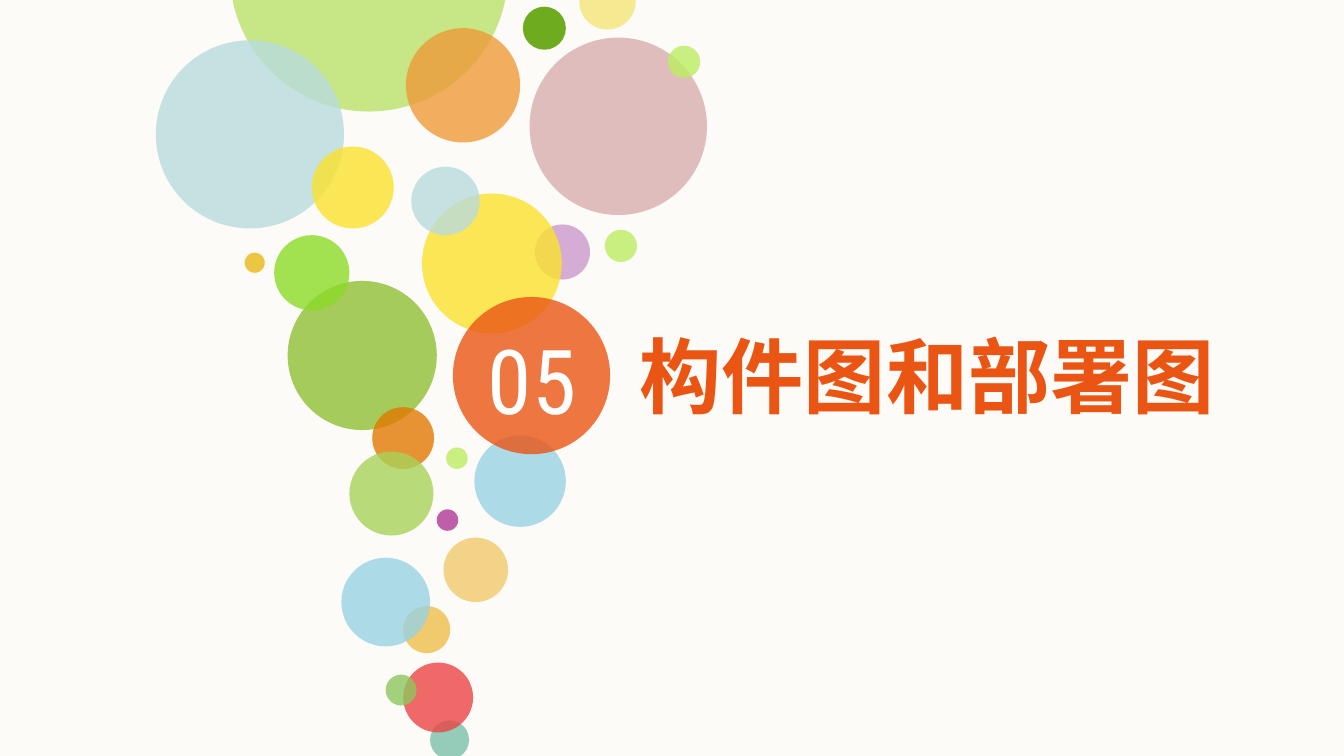
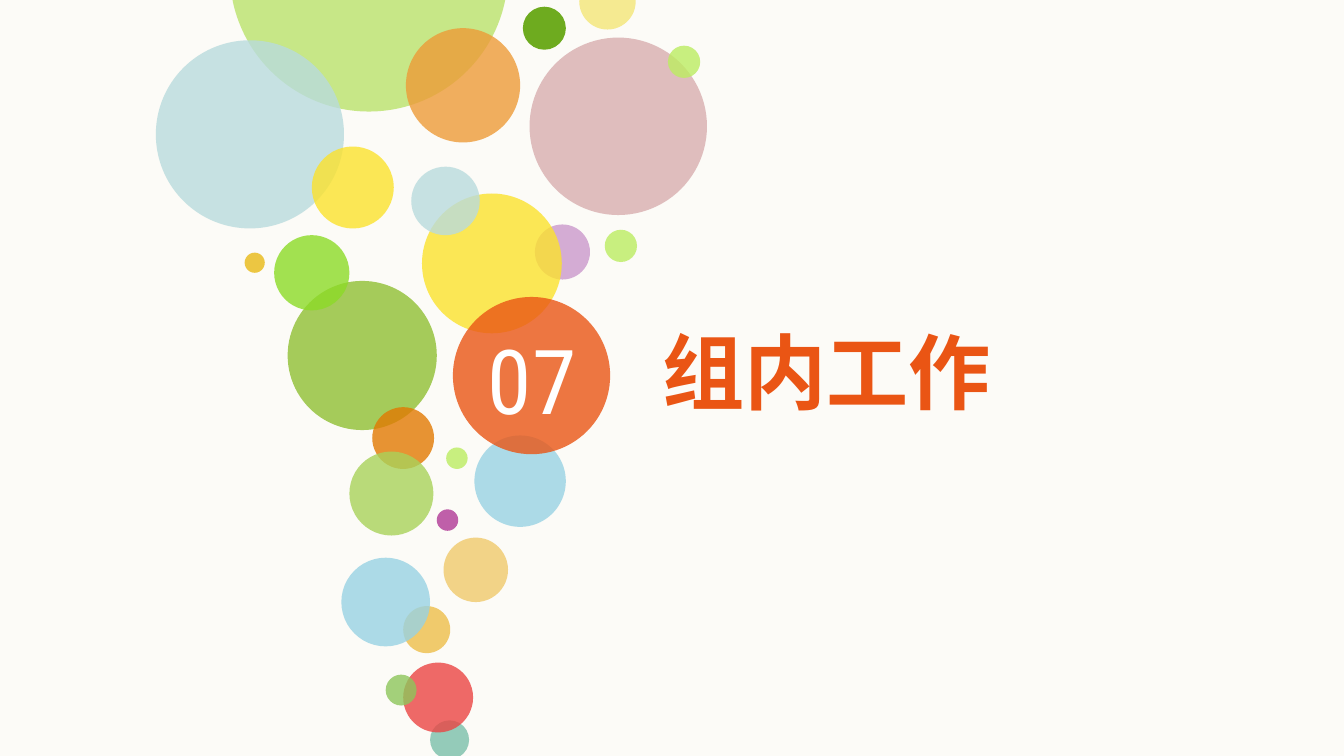
from dataclasses import dataclass

from lxml import etree
from pptx import Presentation
from pptx.dml.color import RGBColor
from pptx.enum.shapes import MSO_SHAPE
from pptx.enum.text import MSO_ANCHOR, MSO_AUTO_SIZE, PP_ALIGN
from pptx.oxml.ns import qn
from pptx.util import Inches, Pt

OVAL = MSO_SHAPE.OVAL
TOP = MSO_ANCHOR.TOP
NO_AUTOFIT = MSO_AUTO_SIZE.NONE
LEFT, CENTER = PP_ALIGN.LEFT, PP_ALIGN.CENTER

COLORS = {
    "paper": "FCFBF7", "white": "FFFFFF", "orange": "EA5514",
    "lime": "BAE36B", "forest": "6EAB1F", "mist": "B9DBDD",
    "apricot": "ED9B38", "cream": "F5EA91", "rose": "D8AEAF",
    "olive": "A5CB5A", "sprout": "BCED61", "lilac": "CB99CC",
    "yellow": "FBE22D", "green": "8CDB27", "gold": "E9B915",
    "purple": "B03896", "sand": "F0CA6C", "teal": "7BBFAA",
    "red": "EB4544", "leaf": "8DC65B", "sky": "98D2E3",
    "amber": "E27902", "moss": "A9D25A",
}
NUMBER_FONT = "Roboto Condensed"
TITLE_FONT = "Noto Sans CJK SC"
COLUMNS = 100
TITLE_ONLY = 5
VEIL = 80
SOLID = 100

# column, row, diameter, colour, opacity
BUBBLES = [
    (17.1, -12.4, 20.7, "lime", VEIL),
    (38.9, 0.5, 3.2, "forest", SOLID),
    (11.6, 3, 14, "mist", VEIL),
    (30.2, 2.1, 8.5, "apricot", VEIL),
    (43.1, -2, 4.2, "cream", SOLID),
    (39.4, 2.8, 13.2, "rose", VEIL),
    (21.4, 20.9, 11.1, "olive", SOLID),
    (49.7, 3.4, 2.4, "sprout", VEIL),
    (45, 17.1, 2.4, "sprout", VEIL),
    (39.8, 16.7, 4.1, "lilac", VEIL),
    (31.4, 14.4, 10.4, "yellow", VEIL),
    (23.2, 10.9, 6.1, "yellow", VEIL),
    (20.4, 17.5, 5.6, "green", VEIL),
    (18.2, 18.8, 1.5, "gold", VEIL),
    (33.2, 33.3, 1.6, "sprout", VEIL),
    (32.5, 37.9, 1.6, "purple", VEIL),
    (33, 40, 4.8, "sand", VEIL),
    (30, 45.1, 3.5, "sand", SOLID),
    (32, 53.6, 2.9, "teal", VEIL),
    (30, 49.3, 5.2, "red", VEIL),
    (28.7, 50.2, 2.3, "leaf", VEIL),
    (25.4, 41.5, 6.6, "sky", VEIL),
    (30.6, 12.4, 5.1, "mist", VEIL),
    (35.3, 32.4, 6.8, "sky", VEIL),
    (27.7, 30.3, 4.6, "amber", VEIL),
    (26, 33.6, 6.25, "moss", VEIL),
    (33.7, 22.1, 11.7, "orange", VEIL),
]
NUMBER_CELLS = (35.6, 24.2, 8, 8.1)
SECTIONS = [
    ("05", "构件图和部署图", (47.6, 24.2, 51.2, 7.4)),
    ("07", "组内工作", (49.3, 23.9, 44.8, 7.4)),
]


@dataclass
class Box:
    left: int
    top: int
    width: int

    def place(self, column, row, columns, rows):
        cell = self.width / COLUMNS
        return (round(self.left + column * cell), round(self.top + row * cell),
                round(columns * cell), round(rows * cell))


def rgb(name):
    return RGBColor.from_string(COLORS[name])


def write_text(holder, text, *, size, font, color, bold=False, align=LEFT):
    frame = holder.text_frame
    frame.word_wrap = True
    frame.auto_size = NO_AUTOFIT
    frame.vertical_anchor = TOP
    frame.margin_left = frame.margin_right = 0
    frame.margin_top = frame.margin_bottom = 0
    paragraph = frame.paragraphs[0]
    paragraph.alignment = align
    run = paragraph.add_run()
    run.text = text
    run.font.size = Pt(size)
    run.font.bold = bold
    run.font.color.rgb = rgb(color)
    run.font.name = font
    east_asian = etree.SubElement(run.font._element, qn("a:ea"))
    east_asian.set("typeface", font)


def add_bubbles(slide, box):
    for column, row, diameter, color, opacity in BUBBLES:
        bubble = slide.shapes.add_shape(
            OVAL, *box.place(column, row, diameter, diameter))
        bubble.shadow.inherit = False
        bubble.line.fill.background()
        bubble.fill.solid()
        bubble.fill.fore_color.rgb = rgb(color)
        if opacity < SOLID:
            tint = bubble._element.spPr.find(".//" + qn("a:srgbClr"))
            etree.SubElement(tint, qn("a:alpha")).set("val", str(opacity * 1000))


def add_heading(slide, box, number, heading, heading_cells):
    section_number = slide.shapes.add_textbox(*box.place(*NUMBER_CELLS))
    write_text(section_number, number, size=48, font=NUMBER_FONT,
               color="white", align=CENTER)
    title = slide.shapes.title
    title.left, title.top, title.width, title.height = box.place(*heading_cells)
    write_text(title, heading, size=44, font=TITLE_FONT, color="orange", bold=True)


def add_section_slide(deck, box, number, heading, heading_cells):
    slide = deck.slides.add_slide(deck.slide_layouts[TITLE_ONLY])
    add_bubbles(slide, box)
    add_heading(slide, box, number, heading, heading_cells)


def main():
    deck = Presentation()
    deck.slide_width = Inches(10)
    deck.slide_height = deck.slide_width * 9 // 16
    paper = deck.slide_master.background.fill
    paper.solid()
    paper.fore_color.rgb = rgb("paper")
    page = Box(0, 0, deck.slide_width)
    for section in SECTIONS:
        add_section_slide(deck, page, *section)
    deck.save("out.pptx")


if __name__ == "__main__":
    main()
